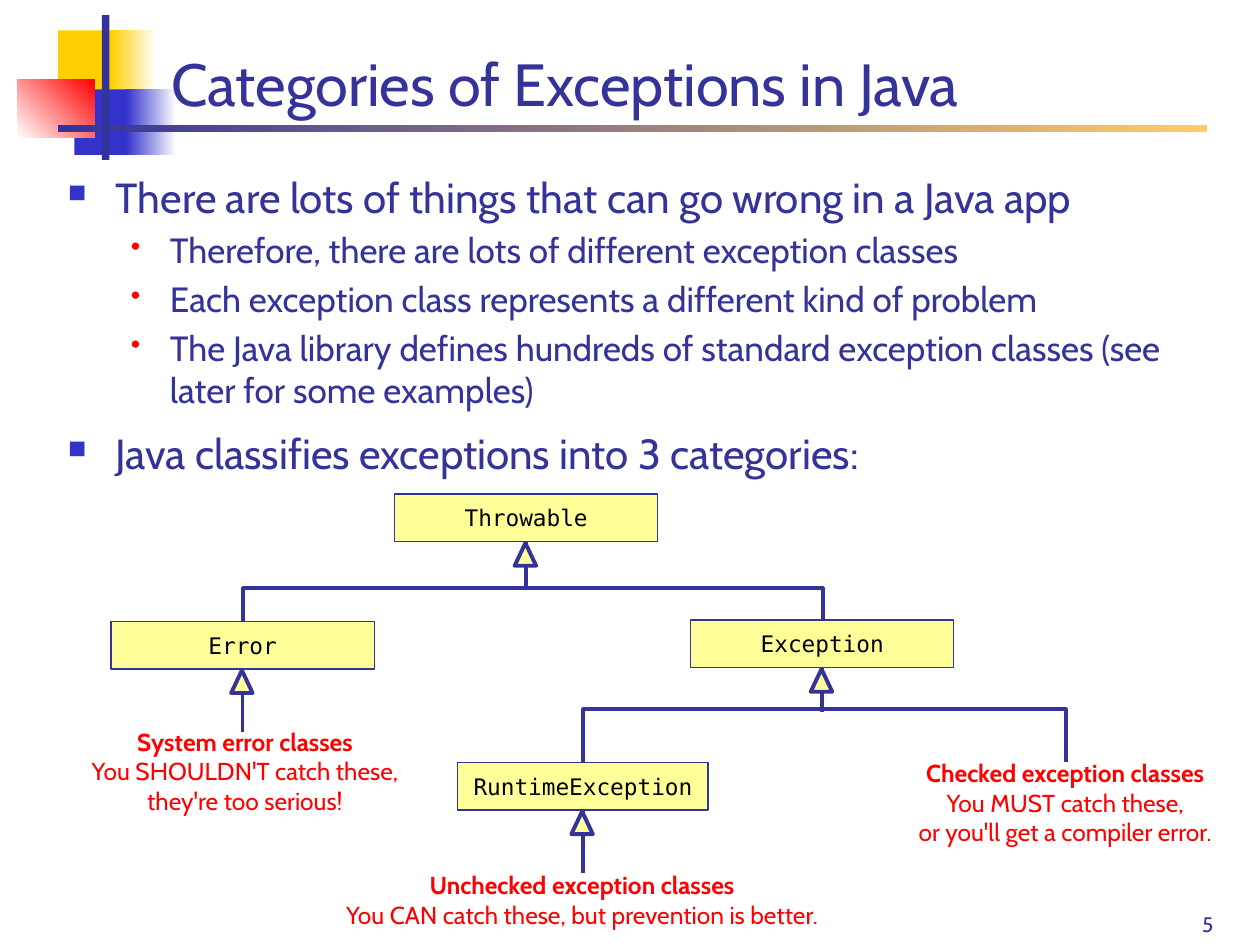
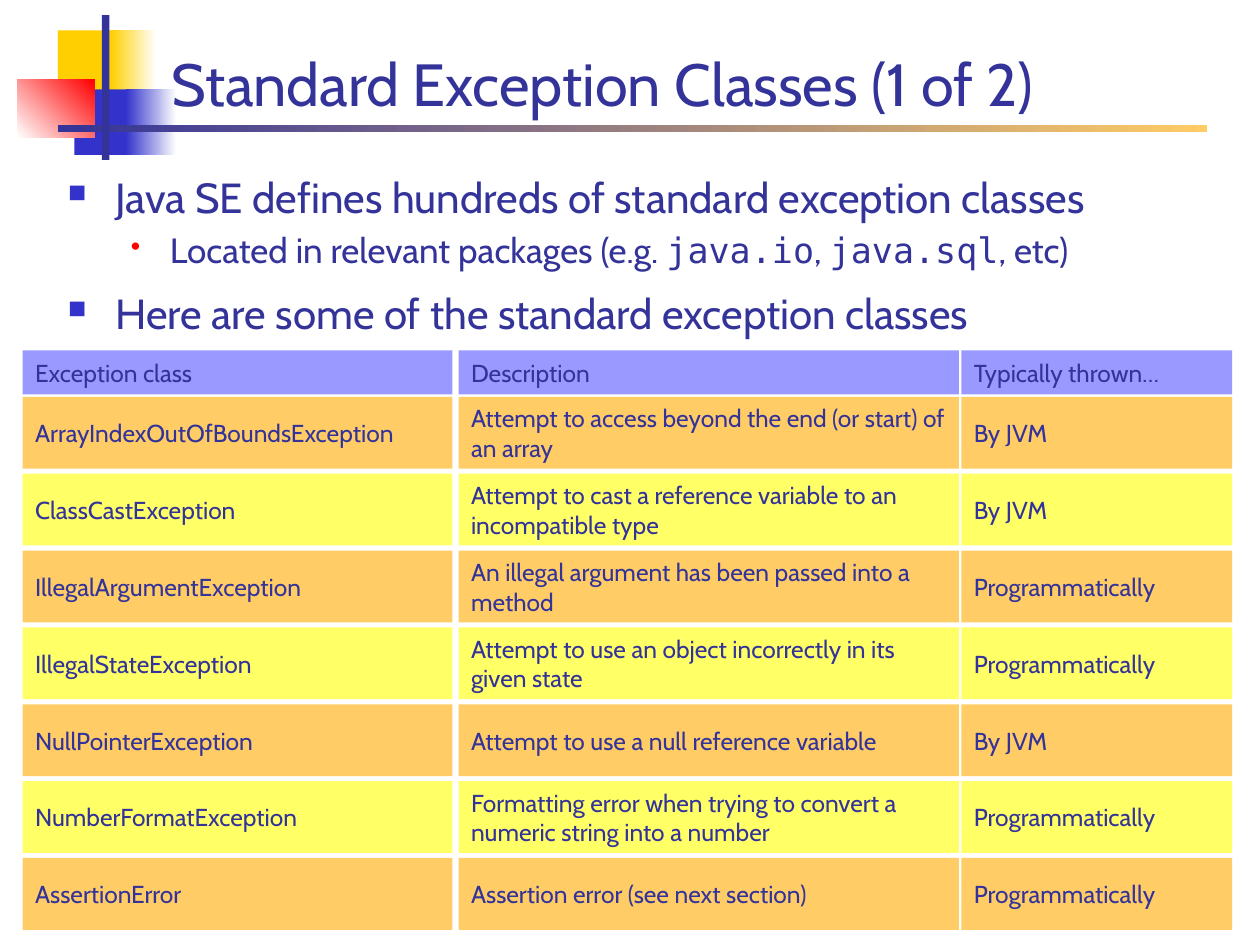
from lxml import etree
from pptx import Presentation
from pptx.dml.color import RGBColor
from pptx.enum.shapes import MSO_CONNECTOR, MSO_SHAPE
from pptx.enum.text import MSO_ANCHOR, MSO_AUTO_SIZE, PP_ALIGN
from pptx.oxml.ns import qn
from pptx.util import Inches, Pt

RECT, TRIANGLE = MSO_SHAPE.RECTANGLE, MSO_SHAPE.ISOSCELES_TRIANGLE
STRAIGHT = MSO_CONNECTOR.STRAIGHT
TOP, MIDDLE, BOTTOM = MSO_ANCHOR.TOP, MSO_ANCHOR.MIDDLE, MSO_ANCHOR.BOTTOM
LEFT, CENTER, RIGHT = PP_ALIGN.LEFT, PP_ALIGN.CENTER, PP_ALIGN.RIGHT

SANS, MONO = "Cabin", "DejaVu Sans Mono"
NAVY = RGBColor(0x33, 0x33, 0x99)
BLUE = RGBColor(0x33, 0x33, 0xCC)
GOLD = RGBColor(0xFF, 0xCF, 0x01)
RED = RGBColor(0xFF, 0x00, 0x00)
WHITE = RGBColor(0xFF, 0xFF, 0xFF)
BLACK = RGBColor(0x00, 0x00, 0x00)
CREAM = RGBColor(0xFF, 0xFF, 0x99)
ORANGE = RGBColor(0xFF, 0xCC, 0x66)
YELLOW = RGBColor(0xFF, 0xFF, 0x66)
LILAC = RGBColor(0x99, 0x99, 0xFF)

# Left, top, width, height, fill (two colours make a gradient), angle
DECORATION = [
    (0.46, 0.24, 0.48, 0.52, (GOLD,), 0),
    (0.88, 0.24, 0.36, 0.52, (GOLD, WHITE), 0),
    (0.59, 0.71, 0.46, 0.52, (BLUE,), 0),
    (1.00, 0.71, 0.40, 0.52, (BLUE, WHITE), 0),
    (0.14, 0.63, 0.61, 0.46, (WHITE, RED), 45),
    (0.46, 0.99, 9.12, 0.06, (NAVY, ORANGE), 0),
    (0.81, 0.12, 0.06, 1.15, (NAVY,), 0),
]

# Per outline level: size, space before, margin, indent, bullet, colour, percent
LEVELS = [
    (24, 9.6, 0.38, -0.38, "\u25a0", BLUE, 60),
    (20, 4, 0.81, -0.31, "\u2022", RED, 80),
]

# Outline items: level, then runs of text and font
CATEGORIES = [
    (0, [("There are lots of things that can go wrong in a Java app", SANS)]),
    (1, [("Therefore, there are lots of different exception classes", SANS)]),
    (1, [("Each exception class represents a different kind of problem", SANS)]),
    (1, [("The Java library defines hundreds of standard exception classes "
          "(see later for some examples)", SANS)]),
    (0, [("Java classifies exceptions into 3 categories:", SANS)]),
]
STANDARD = [
    (0, [("Java SE defines hundreds of standard exception classes", SANS)]),
    (1, [("Located in relevant packages (e.g. ", SANS), ("java.io", MONO),
         (", ", SANS), ("java.sql", MONO), (", etc)", SANS)]),
    (0, [("Here are some of the standard exception classes", SANS)]),
]

# Class boxes: name, left, top, width, bottom of the stem below
CLASSES = [
    ("Throwable", 3.13, 3.92, 2.09, 4.66),
    ("Error", 0.88, 4.93, 2.09, 5.81),
    ("Exception", 5.48, 4.92, 2.09, 5.65),
    ("RuntimeException", 3.63, 6.05, 1.99, 6.93),
]
CLASS_H = 0.38

# Brackets joining subclasses: left, right, bar height, bottom
BRACKETS = [(1.93, 6.53, 4.67, 4.93), (4.63, 8.46, 5.63, 6.05)]

# Notes: left, top, width, height, heading, further lines
NOTES = [
    (0.5, 5.72, 2.89, 0.81, "System error classes",
     ["You SHOULDN'T catch these,", "they're too serious!"]),
    (2.53, 6.86, 4.18, 0.57, "Unchecked exception classes",
     ["You CAN catch these, but prevention is better."]),
    (7.04, 5.97, 2.83, 0.81, "Checked exception classes",
     ["You MUST catch these,", "or you'll get a compiler error."]),
]

GRID_COLUMNS = [(0.18, 3.41), (3.64, 3.97), (7.63, 2.15)]
HEADER = ("Exception class", "Description", "Typically thrown\u2026")
ROWS = [
    ("ArrayIndexOutOfBoundsException",
     "Attempt to access beyond the end (or start) of an array", "By JVM"),
    ("ClassCastException",
     "Attempt to cast a reference variable to an incompatible type", "By JVM"),
    ("IllegalArgumentException",
     "An illegal argument has been passed into a method", "Programmatically"),
    ("IllegalStateException",
     "Attempt to use an object incorrectly in its given state",
     "Programmatically"),
    ("NullPointerException", "Attempt to use a null reference variable",
     "By JVM"),
    ("NumberFormatException",
     "Formatting error when trying to convert a numeric string into a number",
     "Programmatically"),
    ("AssertionError", "Assertion error (see next section)",
     "Programmatically"),
]
HEADER_TOP, HEADER_H = 2.78, 0.35
ROW_TOP, ROW_H, ROW_PITCH = 3.15, 0.57, 0.61


def add_run(p, text, font=SANS, size=14, color=NAVY, bold=False):
    """Append a formatted run to a paragraph."""
    r = p.add_run()
    r.text = text
    r.font.name, r.font.size, r.font.bold = font, Pt(size), bold
    r.font.color.rgb = color


def write(sp, text, align=LEFT, anchor=MIDDLE, **style):
    """Fill the first paragraph of a shape with one run."""
    tf = sp.text_frame
    tf.word_wrap, tf.vertical_anchor = True, anchor
    p = tf.paragraphs[0]
    p.alignment = align
    add_run(p, text, **style)


def add_box(s, x, y, w, h, colors, kind=RECT, angle=0, line=None):
    """Add a preset shape with a solid or gradient fill."""
    sp = s.shapes.add_shape(kind, Inches(x), Inches(y), Inches(w), Inches(h))
    sp.shadow.inherit = False
    if len(colors) == 1:
        sp.fill.solid()
        sp.fill.fore_color.rgb = colors[0]
    else:
        sp.fill.gradient()
        sp.fill.gradient_angle = angle
        for stop, color in zip(sp.fill.gradient_stops, colors):
            stop.color.rgb = color
    if line:
        sp.line.color.rgb, sp.line.width = NAVY, Pt(line)
    else:
        sp.line.fill.background()
    return sp


def add_textbox(s, x, y, w, h):
    """Add an empty text box."""
    return s.shapes.add_textbox(Inches(x), Inches(y), Inches(w), Inches(h))


def set_bullet(p, margin, indent, char, color, percent):
    """Give a paragraph a hanging bullet."""
    pPr = p._p.get_or_add_pPr()
    pPr.set("marL", str(Inches(margin)))
    pPr.set("indent", str(Inches(indent)))
    clr = etree.SubElement(pPr, qn("a:buClr"))
    etree.SubElement(clr, qn("a:srgbClr")).set("val", str(color))
    etree.SubElement(pPr, qn("a:buSzPct")).set("val", str(percent * 1000))
    etree.SubElement(pPr, qn("a:buChar")).set("char", char)


def add_outline(s, items):
    """Add the bulleted body text."""
    tf = add_textbox(s, 0.44, 1.31, 9.28, 5.4).text_frame
    tf.word_wrap, tf.vertical_anchor = True, TOP
    for i, (level, runs) in enumerate(items):
        size, before, *bullet = LEVELS[level]
        p = tf.add_paragraph() if i else tf.paragraphs[0]
        p.level, p.space_before = level, Pt(before)
        set_bullet(p, *bullet)
        for text, font in runs:
            add_run(p, text, font=font, size=size)


def add_stem(s, x, top, bottom):
    """Add a vertical line."""
    c = s.shapes.add_connector(STRAIGHT, Inches(x), Inches(top),
                               Inches(x), Inches(bottom))
    c.line.color.rgb, c.line.width = NAVY, Pt(2.25)
    etree.SubElement(c.element.spPr, qn("a:effectLst"))


def add_bracket(s, left, right, bar, bottom):
    """Add an open bracket that joins two subclasses."""
    points = [(left, bar), (right, bar), (right, bottom)]
    path = s.shapes.build_freeform(Inches(left), Inches(bottom))
    path.add_line_segments([(Inches(x), Inches(y)) for x, y in points],
                           close=False)
    sp = path.convert_to_shape()
    sp.shadow.inherit = False
    sp.fill.background()
    sp.line.color.rgb, sp.line.width = NAVY, Pt(2.25)


def add_class(s, name, x, y, w, stem_bottom):
    """Add a class box with the inheritance arrow below it."""
    center, bottom = x + w / 2, y + CLASS_H
    add_stem(s, center, bottom, stem_bottom)
    add_box(s, center - 0.09, bottom + 0.01, 0.17, 0.18, [CREAM],
            kind=TRIANGLE, line=2.25)
    sp = add_box(s, x, y, w, CLASS_H, [CREAM], line=0.75)
    write(sp, name, align=CENTER, font=MONO, size=13, color=BLACK)


def add_note(s, x, y, w, h, heading, lines):
    """Add a red note with a bold heading."""
    tf = add_textbox(s, x, y, w, h).text_frame
    tf.word_wrap, tf.auto_size = False, MSO_AUTO_SIZE.SHAPE_TO_FIT_TEXT
    for i, text in enumerate([heading] + lines):
        p = tf.add_paragraph() if i else tf.paragraphs[0]
        p.alignment = CENTER
        add_run(p, text, color=RED, bold=i == 0)


def add_grid_row(s, texts, top, height, color):
    """Add one row of separate cells."""
    for (x, w), text in zip(GRID_COLUMNS, texts):
        write(add_box(s, x, top, w, height, [color]), text)


def decorate_layout(s, layout):
    """Draw the shared decoration and hand it to the layout."""
    for i, (x, y, w, h, colors, angle) in enumerate(DECORATION):
        sp = add_box(s, x, y, w, h, colors, angle=angle)
        sp.element.nvSpPr.cNvPr.set("id", str(100 + i))
        layout.shapes.element.insert(2 + i, sp.element)


def add_slide(prs, layout, title, items):
    """Add a slide with its title and outline."""
    s = prs.slides.add_slide(layout)
    sp = s.shapes.title
    sp.left, sp.top = Inches(1.26), Inches(0.23)
    sp.width, sp.height = Inches(8.52), Inches(0.76)
    write(sp, title, anchor=BOTTOM, size=34)
    sp.text_frame.auto_size = MSO_AUTO_SIZE.NONE
    add_outline(s, items)
    return s


prs = Presentation()
prs.slide_width, prs.slide_height = Inches(10), Inches(7.5)
title_only = prs.slide_layouts[5]

s = add_slide(prs, title_only, "Categories of Exceptions in Java", CATEGORIES)
decorate_layout(s, title_only)
write(add_textbox(s, 6.56, 6.98, 3.17, 0.5), "5", align=RIGHT, anchor=BOTTOM,
      size=12)
for bracket in BRACKETS:
    add_bracket(s, *bracket)
for entry in CLASSES:
    add_class(s, *entry)
for note in NOTES:
    add_note(s, *note)

s = add_slide(prs, title_only, "Standard Exception Classes (1 of 2)", STANDARD)
add_grid_row(s, HEADER, HEADER_TOP, HEADER_H, LILAC)
for i, row in enumerate(ROWS):
    add_grid_row(s, row, ROW_TOP + i * ROW_PITCH, ROW_H, (ORANGE, YELLOW)[i % 2])

prs.save("out.pptx")
